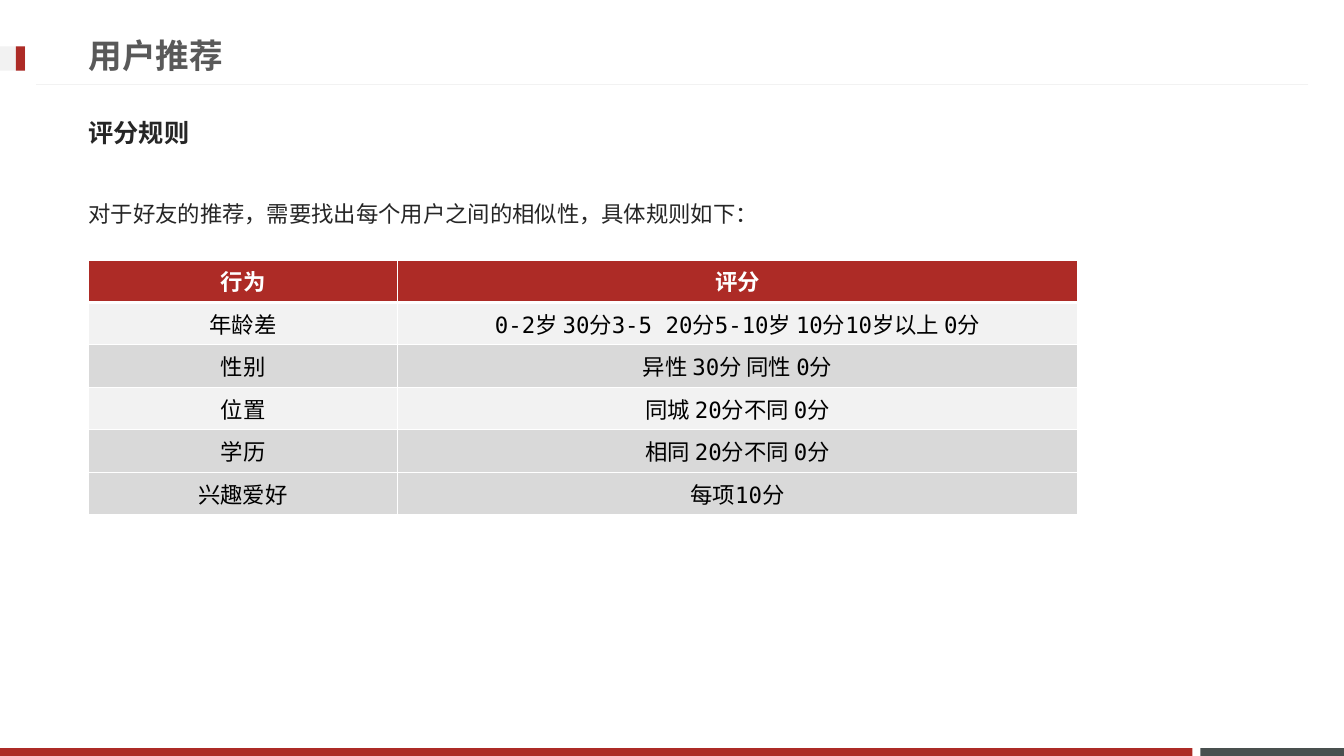
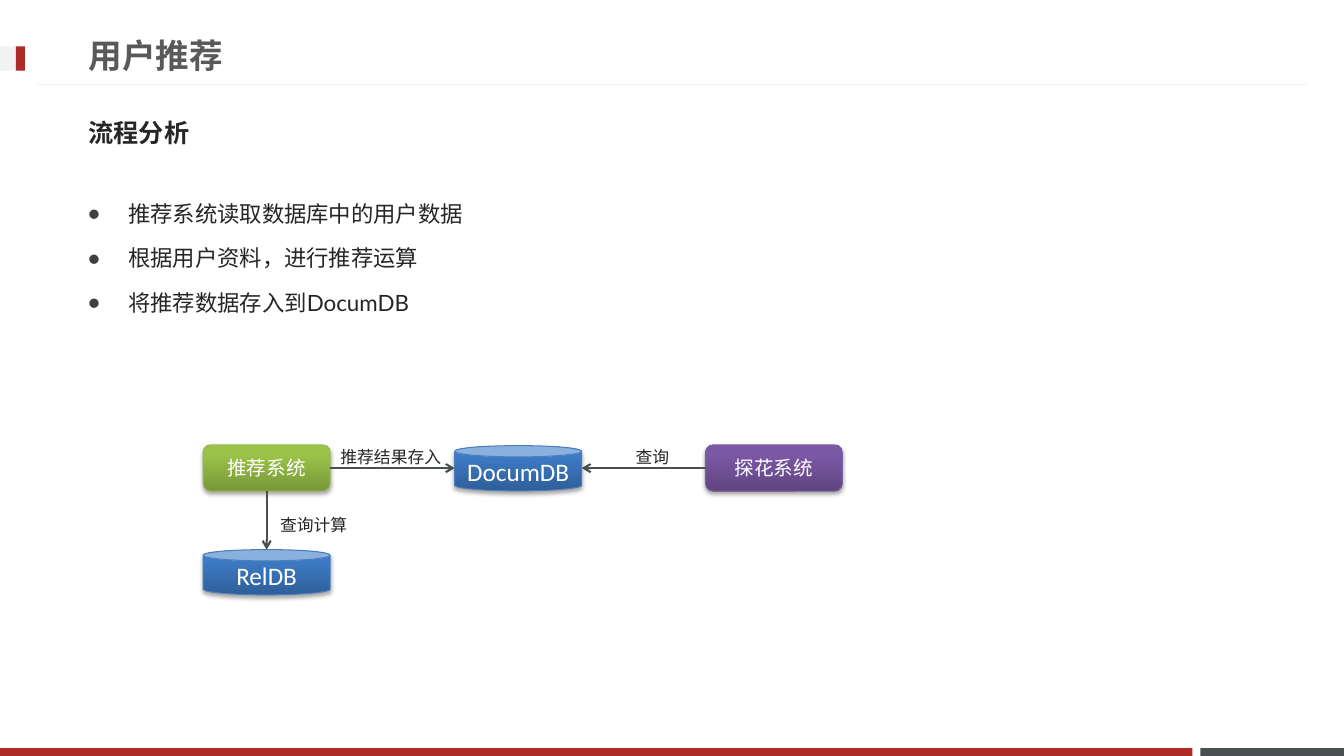
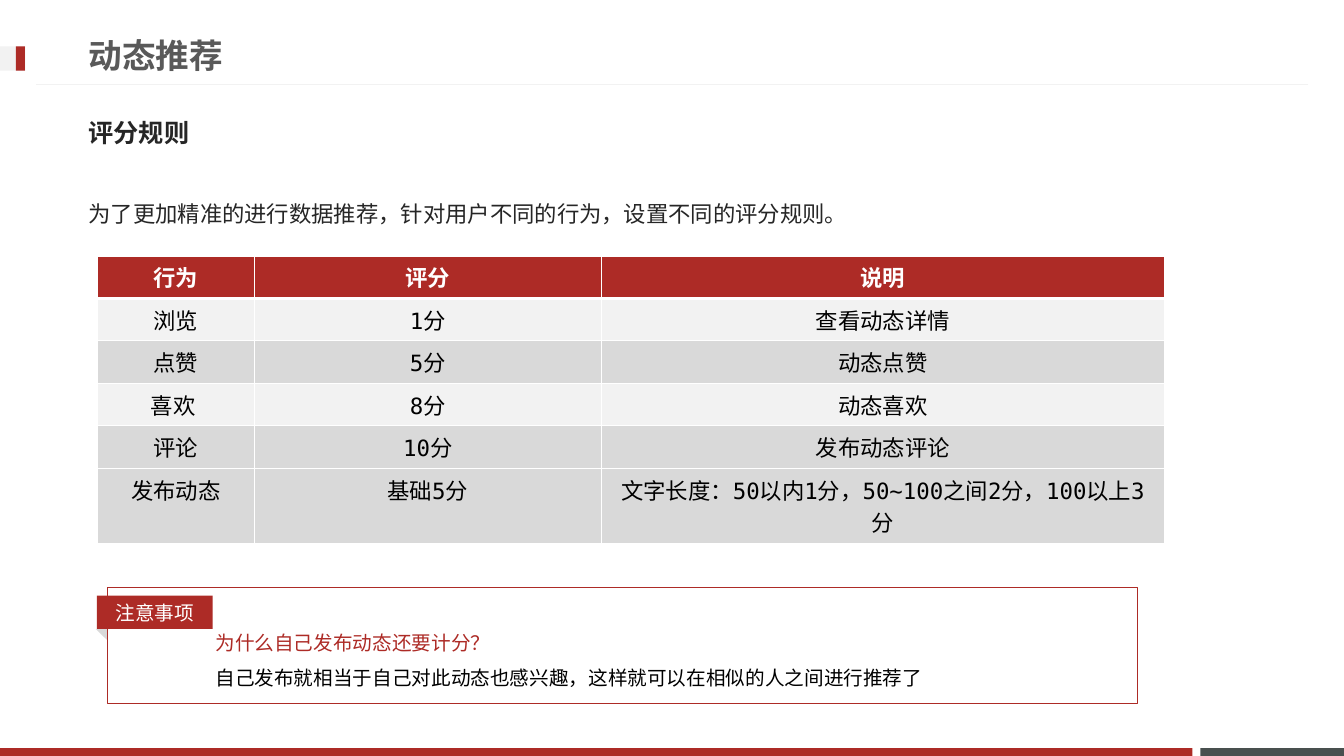
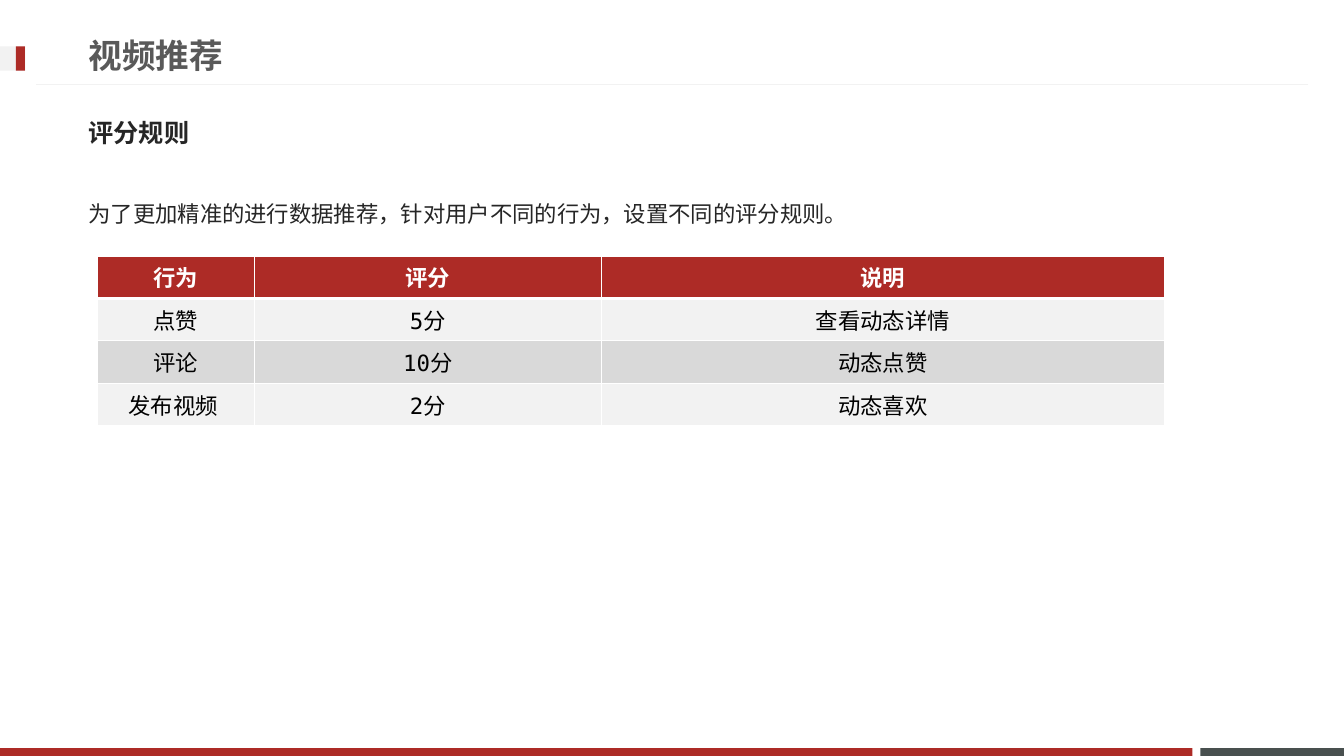
from dataclasses import dataclass
from typing import Any, NamedTuple, Optional

from lxml.etree import SubElement
from pptx import Presentation
from pptx.dml.color import RGBColor
from pptx.enum.lang import MSO_LANGUAGE_ID as Language
from pptx.enum.shapes import MSO_CONNECTOR as Connector, MSO_SHAPE as Preset
from pptx.enum.text import MSO_ANCHOR as Anchor, PP_ALIGN as Align
from pptx.oxml.ns import qn
from pptx.util import Cm, Pt

RED = RGBColor(0xAD, 0x2B, 0x26)
SLATE = RGBColor(0x49, 0x50, 0x4F)
PALE = RGBColor(0xF2, 0xF2, 0xF2)
GREY = RGBColor(0xD9, 0xD9, 0xD9)
WHITE = RGBColor(0xFF, 0xFF, 0xFF)
BLACK = RGBColor(0x00, 0x00, 0x00)
INK = RGBColor(0x26, 0x26, 0x26)
TITLE_GREY = RGBColor(0x59, 0x59, 0x59)
BULLET_GREY = RGBColor(0x40, 0x40, 0x40)

MONO = "DejaVu Sans Mono"
NOTO = "Noto Sans CJK JP"
LATO = "Lato"
CALIBRI = "Calibri"

LIGHT_ROWS = (1, 3)
ROW_HEIGHT, TWO_LINE_HEIGHT = 1.07, 1.9


class Area(NamedTuple):
    left: float
    top: float
    width: float
    height: float

    def lengths(self) -> tuple:
        return tuple(Cm(value) for value in self)

    @property
    def right(self) -> float:
        return self.left + self.width

    @property
    def bottom(self) -> float:
        return self.top + self.height

    @property
    def centre(self) -> float:
        return self.left + self.width / 2

    @property
    def middle(self) -> float:
        return self.top + self.height / 2


class Style(NamedTuple):
    colour: RGBColor
    east: str
    font: dict[str, Any]
    paragraph: dict[str, Any] = {}


class Palette(NamedTuple):
    dark: RGBColor
    light: RGBColor
    edge: RGBColor


@dataclass(frozen=True)
class Node:
    text: str
    area: Area
    preset: Preset
    palette: Palette
    style: Style


@dataclass(frozen=True)
class Label:
    text: str
    area: Area


@dataclass(frozen=True)
class Grid:
    left: float
    top: float
    widths: tuple[float, ...]
    rows: tuple[tuple[str, ...], ...]
    last_height: float = ROW_HEIGHT


@dataclass(frozen=True)
class Page:
    title: str
    heading: str
    heading_font: str
    body: tuple[str, ...]
    bulleted: bool = False
    grid: Optional[Grid] = None


def make_style(colour: RGBColor, name: str, size: float, east: str = "",
               bold: bool = False, **paragraph: Any) -> Style:
    font = {"name": name, "size": Pt(size), "bold": bold,
            "language_id": Language.SIMPLIFIED_CHINESE}
    return Style(colour, east or name, font, paragraph)


def make_heading(font: str) -> Style:
    return make_style(INK, font, 18, NOTO, True, space_before=Pt(3.6))


TITLE = make_style(TITLE_GREY, MONO, 24, NOTO, True)
BODY = make_style(INK, LATO, 16, line_spacing=1.5, space_before=Pt(3.2))
HEADER_CELL = make_style(WHITE, MONO, 16, NOTO, True, alignment=Align.CENTER)
BODY_CELL = make_style(BLACK, MONO, 16, NOTO, alignment=Align.CENTER)
SYSTEM = make_style(WHITE, CALIBRI, 14, alignment=Align.CENTER)
STORE = make_style(WHITE, CALIBRI, 18, alignment=Align.CENTER)
FLOW_LABEL = make_style(INK, NOTO, 12, line_spacing=1.5, space_before=Pt(2.4))
TAG = make_style(WHITE, LATO, 14, alignment=Align.CENTER)
QUESTION = make_style(RED, CALIBRI, 14, line_spacing=1.5)
ANSWER = make_style(BLACK, CALIBRI, 14, line_spacing=1.5)

BLUE_FILL = Palette(RGBColor(0x2F, 0x5F, 0x99), RGBColor(0x3D, 0x7C, 0xC7),
                    RGBColor(0x4B, 0x7E, 0xBC))
GREEN_FILL = Palette(RGBColor(0x77, 0x97, 0x37), RGBColor(0x9B, 0xC3, 0x48),
                     RGBColor(0x98, 0xB9, 0x55))
PURPLE_FILL = Palette(RGBColor(0x5F, 0x44, 0x80), RGBColor(0x7B, 0x58, 0xA6),
                      RGBColor(0x7D, 0x60, 0xA0))

RECOMMENDER = Node("推荐系统", Area(5.12, 11.21, 3.2, 1.17),
                   Preset.ROUNDED_RECTANGLE, GREEN_FILL, SYSTEM)
CLIENT = Node("探花系统", Area(17.78, 11.21, 3.45, 1.17),
              Preset.ROUNDED_RECTANGLE, PURPLE_FILL, SYSTEM)
DOCUMENTS = Node("DocumDB", Area(11.46, 11.23, 3.2, 1.14), Preset.CAN, BLUE_FILL, STORE)
RELATIONS = Node("RelDB", Area(5.12, 13.85, 3.2, 1.14), Preset.CAN, BLUE_FILL, STORE)

FLOW_LABELS = (
    Label("推荐结果存入", Area(8.33, 10.87, 4.01, 1.17)),
    Label("查询计算", Area(6.81, 12.6, 3.45, 1.83)),
    Label("查询", Area(15.77, 10.87, 3.45, 1.83)),
)

FRAME = (
    (Area(30.25, 18.85, 3.62, 0.2), SLATE),
    (Area(0, 18.85, 30.05, 0.2), RED),
    (Area(0, 1.17, 0.64, 0.61), PALE),
    (Area(0.4, 1.17, 0.23, 0.61), RED),
)

RULES = "为了更加精准的进行数据推荐，针对用户不同的行为，设置不同的评分规则。"
WIDE = (3.96, 8.74, 14.2)

PAGES = (
    Page("用户推荐", "评分规则", NOTO,
         ("对于好友的推荐，需要找出每个用户之间的相似性，具体规则如下：",),
         grid=Grid(2.24, 6.55, (7.77, 17.15), (
             ("行为", "评分"),
             ("年龄差", "0-2岁 30分3-5 20分5-10岁 10分10岁以上 0分"),
             ("性别", "异性 30分 同性 0分"),
             ("位置", "同城 20分不同 0分"),
             ("学历", "相同 20分不同 0分"),
             ("兴趣爱好", "每项10分")))),
    Page("用户推荐", "流程分析", MONO,
         ("推荐系统读取数据库中的用户数据",
          "根据用户资料，进行推荐运算",
          f"将推荐数据存入到{DOCUMENTS.text}"), bulleted=True),
    Page("动态推荐", "评分规则", NOTO, (RULES,),
         grid=Grid(2.45, 6.45, WIDE, (
             ("行为", "评分", "说明"),
             ("浏览", "1分", "查看动态详情"),
             ("点赞", "5分", "动态点赞"),
             ("喜欢 ", "8分", "动态喜欢"),
             ("评论", "10分", "发布动态评论"),
             ("发布动态", "基础5分",
              "文字长度：50以内1分，50~100之间2分，100以上3分")), TWO_LINE_HEIGHT)),
    Page("视频推荐", "评分规则", NOTO, (RULES,),
         grid=Grid(2.45, 6.45, WIDE, (
             ("行为", "评分", "说明"),
             ("点赞", "5分", "查看动态详情"),
             ("评论", "10分", "动态点赞"),
             ("发布视频 ", "2分", "动态喜欢")))),
)


def apply(target: Any, values: dict[str, Any]) -> None:
    for name, value in values.items():
        setattr(target, name, value)


def write(para: Any, text: str, style: Style) -> None:
    apply(para, style.paragraph)
    span = para.add_run()
    span.text = text
    span.font.color.rgb = style.colour
    apply(span.font, style.font)
    SubElement(span._r.get_or_add_rPr(), qn("a:ea"), typeface=style.east)


def add_bullet(para: Any) -> None:
    properties = para._p.get_or_add_pPr()
    indents = {"marL": Cm(1), "indent": -Cm(1)}
    for name, value in indents.items():
        properties.set(name, str(value))
    colour = SubElement(properties, qn("a:buClr"))
    SubElement(colour, qn("a:srgbClr"), val=str(BULLET_GREY))
    SubElement(properties, qn("a:buSzPct"), val="85000")
    SubElement(properties, qn("a:buFont"), typeface=LATO)
    SubElement(properties, qn("a:buChar"), char="●")


def add_text(slide: Any, area: Area, lines: tuple[tuple[str, Style], ...],
             anchor: Anchor = Anchor.TOP, bulleted: bool = False) -> None:
    frame = slide.shapes.add_textbox(*area.lengths()).text_frame
    apply(frame, {"word_wrap": True, "vertical_anchor": anchor})
    for index, (text, style) in enumerate(lines):
        para = frame.add_paragraph() if index else frame.paragraphs[0]
        write(para, text, style)
        if bulleted:
            add_bullet(para)


def add_block(slide: Any, area: Area, fill: Optional[RGBColor],
              preset: Preset = Preset.RECTANGLE) -> Any:
    shape = slide.shapes.add_shape(preset, *area.lengths())
    shape.shadow.inherit = False
    shape.line.fill.background()
    if fill is None:
        shape.fill.background()
    else:
        shape.fill.solid()
        shape.fill.fore_color.rgb = fill
    return shape


def add_line(slide: Any, start: tuple[float, float], end: tuple[float, float],
             colour: RGBColor, width: float, arrow: bool = False) -> None:
    points = (Cm(value) for value in (*start, *end))
    line = slide.shapes.add_connector(Connector.STRAIGHT, *points)
    line.line.color.rgb = colour
    line.line.width = Pt(width)
    if arrow:
        SubElement(line.line._get_or_add_ln(), qn("a:tailEnd"), type="arrow")
    SubElement(line._element.spPr, qn("a:effectLst"))


def add_shadow(shape: Any) -> None:
    effects = shape._element.spPr.find(qn("a:effectLst"))
    shadow = SubElement(effects, qn("a:outerShdw"), blurRad="40000", dist="23000",
                        dir="5400000", rotWithShape="0")
    colour = SubElement(shadow, qn("a:srgbClr"), val=str(BLACK))
    SubElement(colour, qn("a:alpha"), val="35000")


def add_node(slide: Any, node: Node) -> None:
    shape = add_block(slide, node.area, None, node.preset)
    shape.fill.gradient()
    shape.fill.gradient_angle = 90
    dark, light = shape.fill.gradient_stops
    dark.color.rgb, dark.position = node.palette.dark, 0
    light.color.rgb, light.position = node.palette.light, 0.8
    shape.line.color.rgb = node.palette.edge
    shape.line.width = Pt(0.75)
    add_shadow(shape)
    shape.text_frame.vertical_anchor = Anchor.MIDDLE
    write(shape.text_frame.paragraphs[0], node.text, node.style)


def set_borders(cell: Any, bottom: float) -> None:
    properties = cell._tc.get_or_add_tcPr()
    sides = {"a:lnL": 1, "a:lnR": 1, "a:lnT": 1, "a:lnB": bottom}
    for index, (side, width) in enumerate(sides.items()):
        line = SubElement(properties, qn(side), w=str(Pt(width)))
        fill = SubElement(line, qn("a:solidFill"))
        SubElement(fill, qn("a:srgbClr"), val=str(WHITE))
        properties.insert(index, line)


def add_grid(slide: Any, grid: Grid) -> None:
    heights = [ROW_HEIGHT] * (len(grid.rows) - 1) + [grid.last_height]
    area = Area(grid.left, grid.top, sum(grid.widths), sum(heights))
    table = slide.shapes.add_table(len(heights), len(grid.widths), *area.lengths()).table
    for column, width in zip(table.columns, grid.widths):
        column.width = Cm(width)
    for index, (texts, height) in enumerate(zip(grid.rows, heights)):
        table.rows[index].height = Cm(height)
        header = index == 0
        tint = RED if header else PALE if index in LIGHT_ROWS else GREY
        for cell, text in zip(table.rows[index].cells, texts):
            cell.fill.solid()
            cell.fill.fore_color.rgb = tint
            set_borders(cell, 3 if header else 1)
            write(cell.text_frame.paragraphs[0], text,
                  HEADER_CELL if header else BODY_CELL)


def add_flow(slide: Any) -> None:
    for node in (RELATIONS, RECOMMENDER, DOCUMENTS, CLIENT):
        add_node(slide, node)
    source, target, client = RECOMMENDER.area, DOCUMENTS.area, CLIENT.area
    level = source.middle
    arrows = (
        ((source.centre, source.bottom), (source.centre, RELATIONS.area.top)),
        ((source.right, level), (target.left, level)),
        ((client.left, level), (target.right, level)),
    )
    for start, end in arrows:
        add_line(slide, start, end, SLATE, 1.5, True)
    for label in FLOW_LABELS:
        add_text(slide, label.area, ((label.text, FLOW_LABEL),))


def add_notice(slide: Any) -> None:
    fold = add_block(slide, Area(2.44, 15.8, 0.41, 0.23), GREY, Preset.ISOSCELES_TRIANGLE)
    fold.rotation = 44.2
    border = add_block(slide, Area(2.72, 14.81, 25.96, 2.92), None)
    border.line.color.rgb = RED
    border.line.width = Pt(0.75)
    tag = add_block(slide, Area(2.44, 15.01, 2.92, 0.84), RED)
    tag.text_frame.vertical_anchor = Anchor.MIDDLE
    write(tag.text_frame.paragraphs[0], "注意事项", TAG)
    add_text(slide, Area(5.18, 15.47, 22.68, 1.96), (
        ("为什么自己发布动态还要计分？", QUESTION),
        ("自己发布就相当于自己对此动态也感兴趣，这样就可以在相似的人之间进行推荐了", ANSWER)))


def add_page(deck: Any, page: Page) -> Any:
    slide = deck.slides.add_slide(deck.slide_layouts[6])
    for area, colour in FRAME:
        add_block(slide, area, colour)
    add_line(slide, (32.97, 2.13), (0.9, 2.13), PALE, 0.75)
    add_text(slide, Area(1.98, 0.67, 24.36, 1.45), ((page.title, TITLE),), Anchor.MIDDLE)
    add_text(slide, Area(1.98, 2.62, 29.87, 1.45),
             ((page.heading, make_heading(page.heading_font)),), Anchor.MIDDLE)
    add_text(slide, Area(1.98, 4.57, 29.87, 4.04 if page.bulleted else 1.45),
             tuple((text, BODY) for text in page.body), bulleted=page.bulleted)
    if page.grid:
        add_grid(slide, page.grid)
    return slide


def main() -> None:
    deck = Presentation()
    apply(deck, {"slide_width": Cm(33.87), "slide_height": Cm(19.05)})
    slides = [add_page(deck, page) for page in PAGES]
    add_flow(slides[1])
    add_notice(slides[2])
    deck.save("out.pptx")


main()
